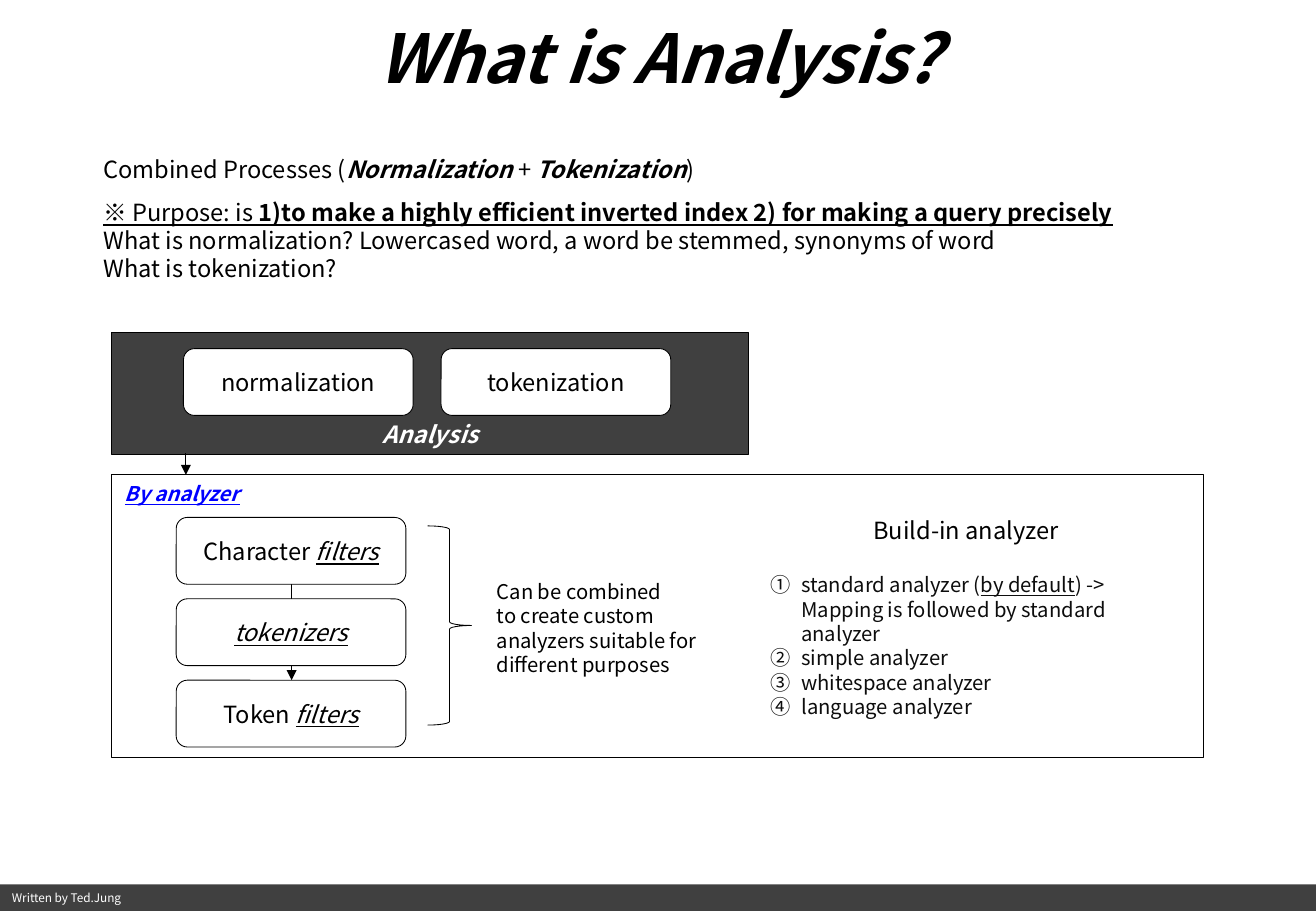
import pptx
import pptx.dml.color
import pptx.enum.shapes
import pptx.enum.text
import pptx.oxml.ns
import pptx.util
from lxml import etree

SHAPE = pptx.enum.shapes.MSO_SHAPE
ANCHOR = pptx.enum.text.MSO_ANCHOR
ALIGN = pptx.enum.text.PP_ALIGN
Pt = pptx.util.Pt
FONT, BLACK, WHITE, DARK = "Noto Sans CJK KR", "000000", "FFFFFF", "404040"
COLUMNS, ROWS = 108.3, 75

presentation = pptx.Presentation()
presentation.slide_width = pptx.util.Inches(10.83)
presentation.slide_height = pptx.util.Inches(7.5)
column = presentation.slide_width / COLUMNS
row = presentation.slide_height / ROWS
slide = presentation.slides.add_slide(presentation.slide_layouts[1])
shapes = slide.shapes


def place(shape, left, top, width, height, fill=None, line=None):
    """Put a shape on the grid of columns and rows and colour it."""
    shape.left, shape.top = round(left * column), round(top * row)
    shape.width, shape.height = round(width * column), round(height * row)
    shape.shadow.inherit = False
    for part, color in ((shape.fill, fill), (shape.line.fill, line)):
        if color:
            part.solid()
            part.fore_color.rgb = pptx.dml.color.RGBColor.from_string(color)
        else:
            part.background()
    if line:
        shape.line.width = Pt(0.5)
    return shape


def write(shape, paragraphs, size=14, color=BLACK, align=ALIGN.LEFT, anchor=ANCHOR.TOP, wrap=True):
    """Fill a shape with paragraphs of (text, style) runs; style letters are b, i and u."""
    frame = shape.text_frame
    frame.auto_size = pptx.enum.text.MSO_AUTO_SIZE.NONE
    frame.word_wrap, frame.vertical_anchor = wrap, anchor
    for index, runs in enumerate(paragraphs):
        paragraph = frame.add_paragraph() if index else frame.paragraphs[0]
        paragraph.alignment, paragraph.space_before = align, Pt(0)
        for text, style in runs:
            run = paragraph.add_run()
            run.text = text
            formats = {"name": FONT, "size": Pt(size), "bold": "b" in style,
                       "italic": "i" in style, "underline": "u" in style}
            for name, value in formats.items():
                setattr(run.font, name, value)
            run.font.color.rgb = pptx.dml.color.RGBColor.from_string(color)
    return frame


# Title and introduction
title = place(shapes.title, 17.8, 2.1, 72.8, 5.1)
write(title, [[("What is Analysis?", "bi")]], 40, align=ALIGN.CENTER, anchor=ANCHOR.MIDDLE)
introduction = write(place(slide.placeholders[1], 7.5, 11.1, 93.1, 12.8), [
    [("Combined Processes (", ""), ("Normalization", "bi"), (" + ", ""),
     ("Tokenization", "bi"), (")", "")],
    [("※ Purpose: is ", "u"),
     ("1)to make a highly efficient inverted index 2) for making a query precisely", "bu")],
    [("What is normalization? Lowercased word, a word be stemmed, synonyms of word", "")],
    [("What is tokenization?", "")],
])
for paragraph, spacing in zip(introduction.paragraphs, (1.5, 1.5, 1, 1)):
    properties = paragraph._p.get_or_add_pPr()
    properties.set("marL", "0")
    properties.set("indent", "0")
    etree.SubElement(properties, pptx.oxml.ns.qn("a:buNone"))
    paragraph.line_spacing = spacing

# Footer bar and the two panels
footer = place(shapes.add_shape(SHAPE.RECTANGLE, 0, 0, 0, 0), 0, 72.8, COLUMNS, 2.2, DARK)
write(footer, [[("Written by Ted.Jung", "")]], 7, WHITE, anchor=ANCHOR.MIDDLE)
place(shapes.add_shape(SHAPE.RECTANGLE, 0, 0, 0, 0), 9.2, 39.1, 89.8, 23.3, line=BLACK)
analysis = place(shapes.add_shape(SHAPE.RECTANGLE, 0, 0, 0, 0), 9.2, 27.4, 52.4, 10, DARK, BLACK)
write(analysis, [[("Analysis", "bi")]], color=WHITE, align=ALIGN.CENTER, anchor=ANCHOR.BOTTOM)

# Arrows: into the analyzer panel, and down through the three stages
for x, top, bottom in ((15.3, 37.3, 39.1), (24, 48.1, 56)):
    arrow = shapes.add_connector(pptx.enum.shapes.MSO_CONNECTOR.STRAIGHT, round(x * column),
                                 round(top * row), round(x * column), round(bottom * row))
    arrow.line.color.rgb = pptx.dml.color.RGBColor.from_string(BLACK)
    arrow.line.width = Pt(0.5)
    etree.SubElement(arrow.line._get_or_add_ln(), pptx.oxml.ns.qn("a:tailEnd"), type="triangle")
    etree.SubElement(arrow._element.spPr, pptx.oxml.ns.qn("a:effectLst"))

# Process boxes: two side by side, three stacked
stage_left, stage_top, stage_step = 14.5, 42.6, 6.7
process_boxes = [
    (15.1, 28.7, [("normalization", "")]),
    (36.3, 28.7, [("tokenization", "")]),
]
stages = [[("Character ", ""), ("filters", "iu")], [("tokenizers", "iu")],
          [("Token ", ""), ("filters", "iu")]]
for index, runs in enumerate(stages):
    process_boxes.append((stage_left, stage_top + index * stage_step, runs))
for left, top, runs in process_boxes:
    box = place(shapes.add_shape(SHAPE.ROUNDED_RECTANGLE, 0, 0, 0, 0),
                left, top, 18.9, 5.5, WHITE, BLACK)
    write(box, [runs], align=ALIGN.CENTER, anchor=ANCHOR.MIDDLE)

# Analyzer notes
place(shapes.add_shape(SHAPE.RIGHT_BRACE, 0, 0, 0, 0), 35.2, 43.3, 3.6, 16.4, line=BLACK)
heading = place(shapes.add_textbox(0, 0, 0, 0), 9.3, 39.1, 11.8, 3)
write(heading, [[("By analyzer", "biu")]], 12, "0000FF", wrap=False)
note = place(shapes.add_textbox(0, 0, 0, 0), 39.9, 47.2, 19.5, 9.1)
write(note, [[("Can be combined", "")],
             [("to create custom analyzers suitable for different purposes", "")]], 12)

# Built-in analyzers: a centred heading over a numbered list
built_in = place(shapes.add_shape(SHAPE.ROUNDED_RECTANGLE, 0, 0, 0, 0), 61.5, 41, 36, 19.7, WHITE)
analyzers = write(built_in, [
    [("Build-in analyzer", "")],
    [("standard analyzer (", ""), ("by default", "u"),
     (") -> Mapping is followed by standard analyzer", "")],
    [("simple analyzer", "")],
    [("whitespace analyzer", "")],
    [("language analyzer", "")],
], 12, "0D0D0D")
list_heading, *items = analyzers.paragraphs
list_heading.alignment = ALIGN.CENTER
list_heading.runs[0].font.size = Pt(14)
list_heading.runs[0].font.color.rgb = pptx.dml.color.RGBColor.from_string(BLACK)
for paragraph in items:
    properties = paragraph._p.get_or_add_pPr()
    properties.set("marL", str(pptx.util.Inches(0.25)))
    properties.set("indent", str(-pptx.util.Inches(0.25)))
    etree.SubElement(properties, pptx.oxml.ns.qn("a:buAutoNum"), type="circleNumDbPlain")
items[0].space_before = Pt(17)

presentation.save("out.pptx")
